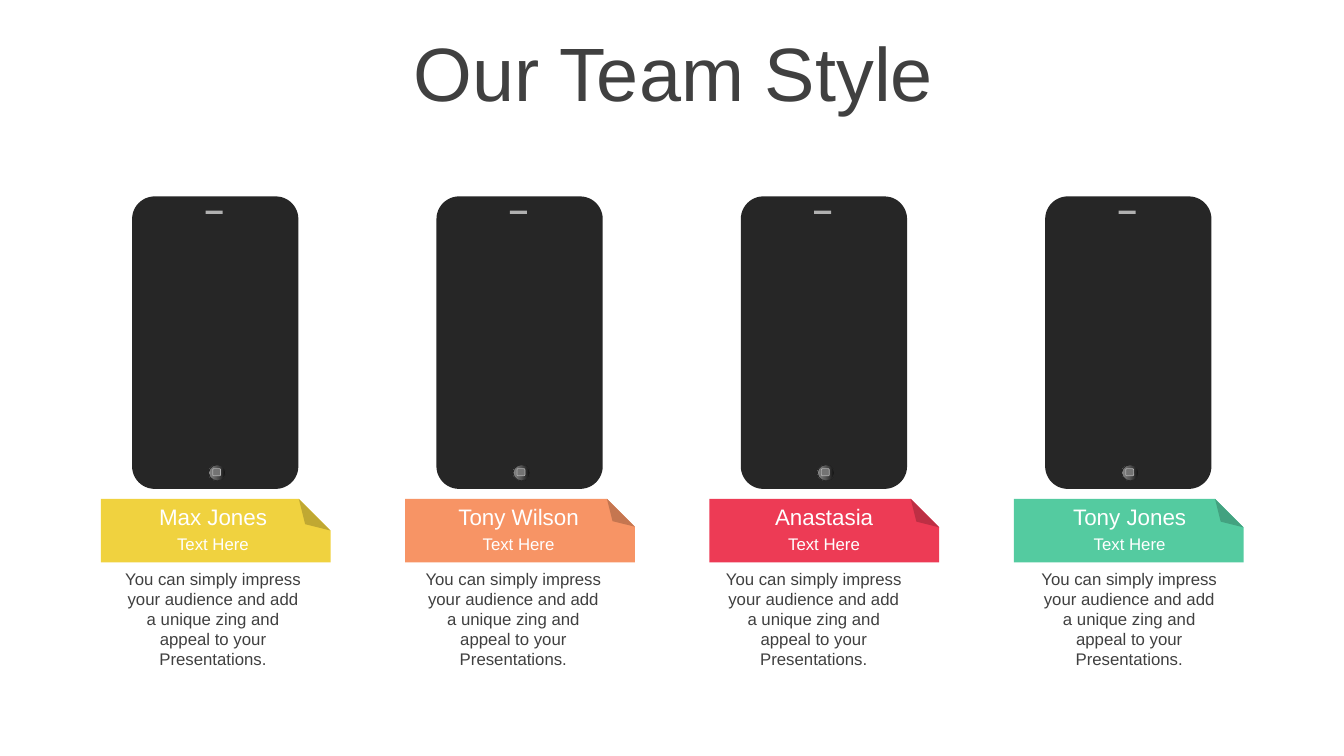
from lxml import etree
from pptx import Presentation
from pptx import util as u
from pptx.dml.color import RGBColor
from pptx.enum import shapes, text
from pptx.oxml.ns import qn

HUES = {
    "ink": "404040", "white": "FFFFFF", "body": "262626",
    "slot": "B0B0B0", "key": "737373",
    "gold": "F0D23F", "peach": "F79465", "red": "ED3B55", "mint": "54CBA0",
}
GLOSS = [(0, "0F0F0F"), (56, "595959"), (91, "808080"), (100, "BFBFBF")]
BLURB = ("You can simply impress your audience and add a unique zing "
         "and appeal to your Presentations.")
TEAM = [
    ("Max Jones", "gold", 0.5, 2.87),
    ("Tony Wilson", "peach", 0.44, 10.44),
    ("Anastasia", "red", 0.45, 18.01),
    ("Tony Jones", "mint", 0.45, 25.96),
]
KIND = shapes.MSO_SHAPE


def hue(name):
    return RGBColor.from_string(HUES[name])


def write(frame, words, size=12, color="ink", anchor="MIDDLE", spacing=0.9):
    frame.word_wrap = True
    frame.vertical_anchor = text.MSO_ANCHOR[anchor]
    para = frame.paragraphs[0]
    para.alignment = text.PP_ALIGN.CENTER
    para.line_spacing = spacing
    run = para.add_run()
    run.text = words
    run.font.name = "Arial"
    run.font.size = u.Pt(size)
    run.font.color.rgb = hue(color)


class Deck:
    def __init__(self):
        self.prs = Presentation()
        self.prs.slide_width = u.Cm(33.87)
        self.prs.slide_height = u.Cm(19.05)
        self.slide = self.prs.slides.add_slide(self.prs.slide_layouts[6])

    def label(self, box, words, **style):
        frame = self.slide.shapes.add_textbox(*map(u.Cm, box)).text_frame
        write(frame, words, **style)

    def shape(self, kind, box, fill, line=None, width=0, home=None):
        item = (home or self.slide).shapes.add_shape(kind, *map(u.Cm, box))
        item.shadow.inherit = False
        item.fill.solid()
        item.fill.fore_color.rgb = hue(fill)
        if line:
            item.line.color.rgb = hue(line)
            item.line.width = u.Pt(width)
        else:
            item.line.fill.background()
        return item

    def gloss(self, item):
        item.fill.gradient()
        item.fill.gradient_angle = 180
        stops = item._element.spPr.find(qn("a:gradFill")).find(qn("a:gsLst"))
        for stop in list(stops):
            stops.remove(stop)
        for pos, shade in GLOSS:
            stop = etree.SubElement(stops, qn("a:gs"), pos=str(pos * 1000))
            etree.SubElement(stop, qn("a:srgbClr"), val=shade)

    def phone(self, left):
        group = self.slide.shapes.add_group_shape()
        case = self.shape(KIND.ROUNDED_RECTANGLE, (left, 4.95, 4.19, 7.37),
                          "body", home=group)
        case.adjustments[0] = 0.136
        self.shape(KIND.RECTANGLE, (left + 1.85, 5.31, 0.43, 0.08), "slot",
                   home=group)
        knob = self.shape(KIND.OVAL, (left + 1.93, 11.71, 0.43, 0.41), "key",
                          line="body", home=group)
        self.gloss(knob)
        self.shape(KIND.ROUNDED_RECTANGLE, (left + 2.03, 11.81, 0.2, 0.18),
                   "key", line="slot", width=0.5, home=group)

    def card(self, left, fill, fold):
        card = self.shape(KIND.FOLDED_CORNER, (left, 12.57, 5.79, 1.6), fill)
        props = card._element.spPr
        props.xfrm.set("flipV", "1")
        geom = props.find(qn("a:prstGeom"))
        for old in list(geom):
            geom.remove(old)
        guides = etree.SubElement(geom, qn("a:avLst"))
        etree.SubElement(guides, qn("a:gd"), name="adj",
                         fmla=f"val {round(fold * 100000)}")


def main():
    deck = Deck()
    deck.label((0.89, 0.94, 32.16, 2.01), "Our Team Style", size=54)
    for i, (name, fill, fold, left) in enumerate(TEAM):
        start = 2.54 + 7.67 * i
        deck.phone(start + 0.79)
        deck.card(start, fill, fold)
        mid = 2.87 + 7.7 * i
        deck.label((mid, 12.75, 5, 0.64), name, size=16, color="white")
        deck.label((mid, 13.41, 5, 0.64), "Text Here", color="white")
        deck.label((left, 14.2, 5, 2.82), BLURB, anchor="TOP", spacing=1.0)
    deck.prs.save("out.pptx")


if __name__ == "__main__":
    main()
